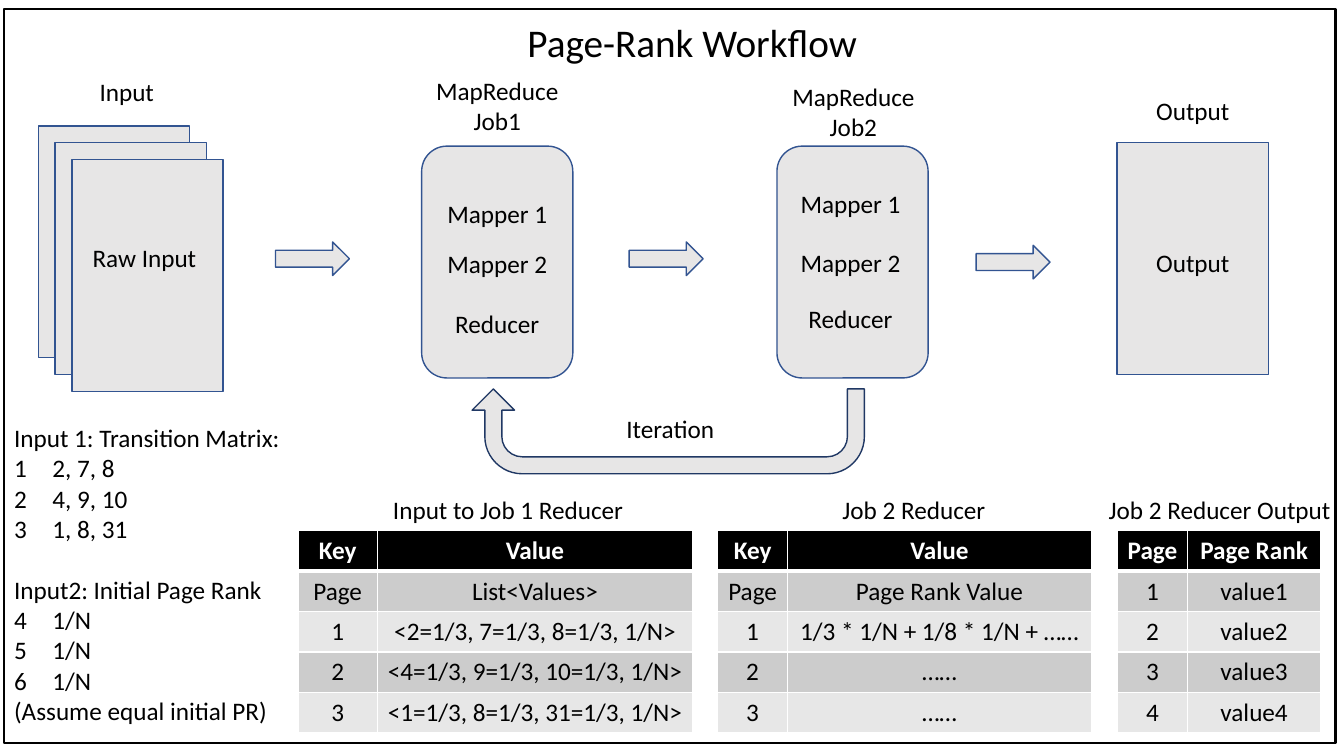
"""Build the Page-Rank workflow slide on a grid of 160 columns by 90 rows."""
import dataclasses
import typing

import lxml.etree
import pptx
import pptx.dml.color
import pptx.enum.shapes
import pptx.enum.text
import pptx.oxml.ns
import pptx.util

SHAPE = pptx.enum.shapes.MSO_SHAPE
ALIGN = pptx.enum.text.PP_ALIGN
ANCHOR = pptx.enum.text.MSO_ANCHOR
AUTO_SIZE = pptx.enum.text.MSO_AUTO_SIZE
COLUMNS, ROWS = 160, 90


@dataclasses.dataclass(frozen=True)
class Theme:
    font: str = "Calibri"
    title_size: int = 28
    body_size: int = 18
    ink: str = "000000"
    paper: str = "FFFFFF"
    panel: str = "E7E6E6"
    outline: str = "325491"
    loop_outline: str = "203864"
    bands: tuple[str, str] = ("CCCCCC", "E7E7E7")


@dataclasses.dataclass(frozen=True)
class Block:
    kind: SHAPE
    column: float
    row: float
    width: float
    height: float
    fill: str
    line: str
    line_width: float = 1


@dataclasses.dataclass(frozen=True)
class Label:
    text: str
    center: float
    row: float
    width: float = 18
    height: float = 4.8


@dataclasses.dataclass(frozen=True)
class Grid:
    column: float
    widths: tuple[float, float]
    cells: tuple[tuple[str, str], ...]


THEME = Theme()
TABLE_ROW, ROW_HEIGHT = 63.2, 4.8
PANEL_SIZE, ARROW_SIZE = (18, 27.6), (8.8, 4)
FRAME = Block(SHAPE.RECTANGLE, 0.5, 1.1, 158.5, 87.4, THEME.paper, THEME.ink, 1.5)
LOOP = Block(SHAPE.U_TURN_ARROW, 56.2, 46.3, 46.7, 10.1, THEME.panel, THEME.loop_outline)
LOOP_ADJUSTMENTS = (0.2, 0.25, 0.25, 0.44, 1)
TITLE = Label("Page-Rank Workflow", 82.4, 1.6, 69, 6.8)

PANELS = [
    *((SHAPE.RECTANGLE, 4.56 + 2 * sheet, 15 + 2 * sheet) for sheet in range(3)),
    (SHAPE.ROUNDED_RECTANGLE, 50.2, 17.4),
    (SHAPE.ROUNDED_RECTANGLE, 92.5, 17.4),
    (SHAPE.RECTANGLE, 133, 17),
]
ARROWS = [(32.8, 28.8), (74.9, 28.8), (116.2, 29.2)]
STEPS = ("Mapper 1", "Mapper 2", "Reducer")
JOB_STEPS = [(59.2, (23, 29, 36.1)), (101.25, (21.8, 28.8, 35.5))]
LABELS = [
    Label("Input", 15.1, 8.5),
    Label("MapReduce Job1", 59.2, 8.4, height=8.5),
    Label("MapReduce Job2", 101.6, 9.1, height=8.5),
    Label("Output", 142, 10.8),
    Label("Raw Input", 17.2, 28.3),
    Label("Output", 142, 28.8),
    Label("Iteration", 79.8, 48.6),
    Label("Input to Job 1 Reducer", 60.5, 58.3, 32),
    Label("Job 2 Reducer", 108.8, 58.3, 32),
    Label("Job 2 Reducer Output", 145.2, 58.2, 29.5),
    *(Label(text, center, row) for center, rows in JOB_STEPS for text, row in zip(STEPS, rows)),
]
NOTES = [
    ("Input 1: Transition Matrix:", None),
    ("2, 7, 8", 1),
    ("4, 9, 10", 1),
    ("1, 8, 31", 1),
    ("Input2: Initial Page Rank", None),
    *[("1/N", 4)] * 3,
    ("(Assume equal initial PR)", None),
]
TABLES = [
    Grid(35.5, (9.4, 37.6), (
        ("Key", "Value"), ("Page", "List<Values>"),
        ("1", "<2=1/3, 7=1/3, 8=1/3, 1/N>"),
        ("2", "<4=1/3, 9=1/3, 10=1/3, 1/N>"),
        ("3", "<1=1/3, 8=1/3, 31=1/3, 1/N>"))),
    Grid(85.4, (8.4, 36.1), (
        ("Key", "Value"), ("Page", "Page Rank Value"),
        ("1", "1/3 * 1/N + 1/8 * 1/N + ……"), ("2", "……"), ("3", "……"))),
    Grid(133, (8.4, 15.8), (
        ("Page", "Page Rank"), *((str(rank), f"value{rank}") for rank in range(1, 5)))),
]

presentation = pptx.Presentation()
presentation.slide_width = pptx.util.Inches(40 / 3)
presentation.slide_height = pptx.util.Inches(7.5)
slide = presentation.slides.add_slide(presentation.slide_layouts[5])


def across(columns: float) -> int:
    """Convert grid columns to a length."""
    return round(presentation.slide_width * columns / COLUMNS)


def down(rows: float) -> int:
    """Convert grid rows to a length."""
    return round(presentation.slide_height * rows / ROWS)


def color(value: str) -> pptx.dml.color.RGBColor:
    """Convert a hexadecimal value to a colour."""
    return pptx.dml.color.RGBColor.from_string(value)


def format_text(frame: typing.Any, size: int = THEME.body_size, ink: str = THEME.ink,
                align: ALIGN = ALIGN.CENTER, bold: bool = False) -> None:
    """Format every run of a text frame."""
    for paragraph in frame.paragraphs:
        paragraph.alignment = align
        for run in paragraph.runs:
            run.font.name, run.font.size, run.font.bold = THEME.font, pptx.util.Pt(size), bold
            run.font.color.rgb = color(ink)


def draw_block(block: Block) -> typing.Any:
    """Draw a filled and outlined shape."""
    shape = slide.shapes.add_shape(block.kind, across(block.column), down(block.row),
                                   across(block.width), down(block.height))
    shape.shadow.inherit = False
    shape.fill.solid()
    shape.fill.fore_color.rgb = color(block.fill)
    shape.line.color.rgb = color(block.line)
    shape.line.width = pptx.util.Pt(block.line_width)
    return shape


def draw_label(label: Label) -> None:
    """Draw a centred text box."""
    box = slide.shapes.add_textbox(across(label.center - label.width / 2), down(label.row),
                                   across(label.width), down(label.height))
    box.text_frame.word_wrap = True
    box.text_frame.auto_size = AUTO_SIZE.SHAPE_TO_FIT_TEXT
    box.text_frame.text = label.text
    format_text(box.text_frame)


def place_title(label: Label) -> None:
    """Place the title placeholder in front of the frame."""
    title = slide.shapes.title
    title.left, title.top = across(label.center - label.width / 2), down(label.row)
    title.width, title.height = across(label.width), down(label.height)
    title.text_frame.text = label.text
    title.text_frame.auto_size = AUTO_SIZE.NONE
    title.text_frame.vertical_anchor = ANCHOR.TOP
    format_text(title.text_frame, THEME.title_size)
    title.element.addprevious(draw_block(FRAME).element)


def draw_notes() -> None:
    """Draw the two inputs with their numbered lists."""
    box = slide.shapes.add_textbox(across(0.5), down(49.7), across(34.9), down(37.6))
    frame = box.text_frame
    frame.word_wrap = True
    frame.text = "\n".join(text for text, _ in NOTES)
    format_text(frame, align=ALIGN.LEFT)
    for paragraph, (text, start) in zip(frame.paragraphs, NOTES):
        if start:
            properties = paragraph._p.get_or_add_pPr()
            properties.set("marL", str(pptx.util.Inches(0.38)))
            properties.set("indent", str(-pptx.util.Inches(0.38)))
            lxml.etree.SubElement(properties, pptx.oxml.ns.qn("a:buAutoNum"),
                                  type="arabicPlain", startAt=str(start))
        elif text.startswith("Input2"):
            paragraph.space_before = pptx.util.Pt(22)


def border_cell(cell: typing.Any, row: int) -> None:
    """Give a cell white borders, thicker below the header."""
    widths = {"lnL": 1, "lnR": 1, "lnT": 3 if row == 1 else 1, "lnB": 3 if row == 0 else 1}
    for position, (side, width) in enumerate(widths.items()):
        line = lxml.etree.Element(pptx.oxml.ns.qn(f"a:{side}"), w=str(pptx.util.Pt(width)))
        fill = lxml.etree.SubElement(line, pptx.oxml.ns.qn("a:solidFill"))
        lxml.etree.SubElement(fill, pptx.oxml.ns.qn("a:srgbClr"), val=THEME.paper)
        cell._tc.get_or_add_tcPr().insert(position, line)


def draw_table(grid: Grid) -> None:
    """Draw a table with a black header and grey bands."""
    count = len(grid.cells)
    table = slide.shapes.add_table(count, 2, across(grid.column), down(TABLE_ROW),
                                   across(sum(grid.widths)), down(ROW_HEIGHT * count)).table
    for column, width in zip(table.columns, grid.widths):
        column.width = across(width)
    for row, texts in enumerate(grid.cells):
        header = row == 0
        for column, text in enumerate(texts):
            cell = table.cell(row, column)
            cell.text_frame.text = text
            cell.margin_left = cell.margin_right = pptx.util.Inches(0.05)
            format_text(cell.text_frame, ink=THEME.paper if header else THEME.ink, bold=header)
            cell.fill.solid()
            cell.fill.fore_color.rgb = color(THEME.ink if header else THEME.bands[(row - 1) % 2])
            border_cell(cell, row)


place_title(TITLE)
for kind, left, top in PANELS:
    draw_block(Block(kind, left, top, *PANEL_SIZE, THEME.panel, THEME.outline))
for left, top in ARROWS:
    draw_block(Block(SHAPE.RIGHT_ARROW, left, top, *ARROW_SIZE, THEME.panel, THEME.outline))
loop = draw_block(LOOP)
loop.rotation = 180
for index, value in enumerate(LOOP_ADJUSTMENTS):
    loop.adjustments[index] = value
for item in LABELS:
    draw_label(item)
draw_notes()
for grid in TABLES:
    draw_table(grid)
presentation.save("out.pptx")
